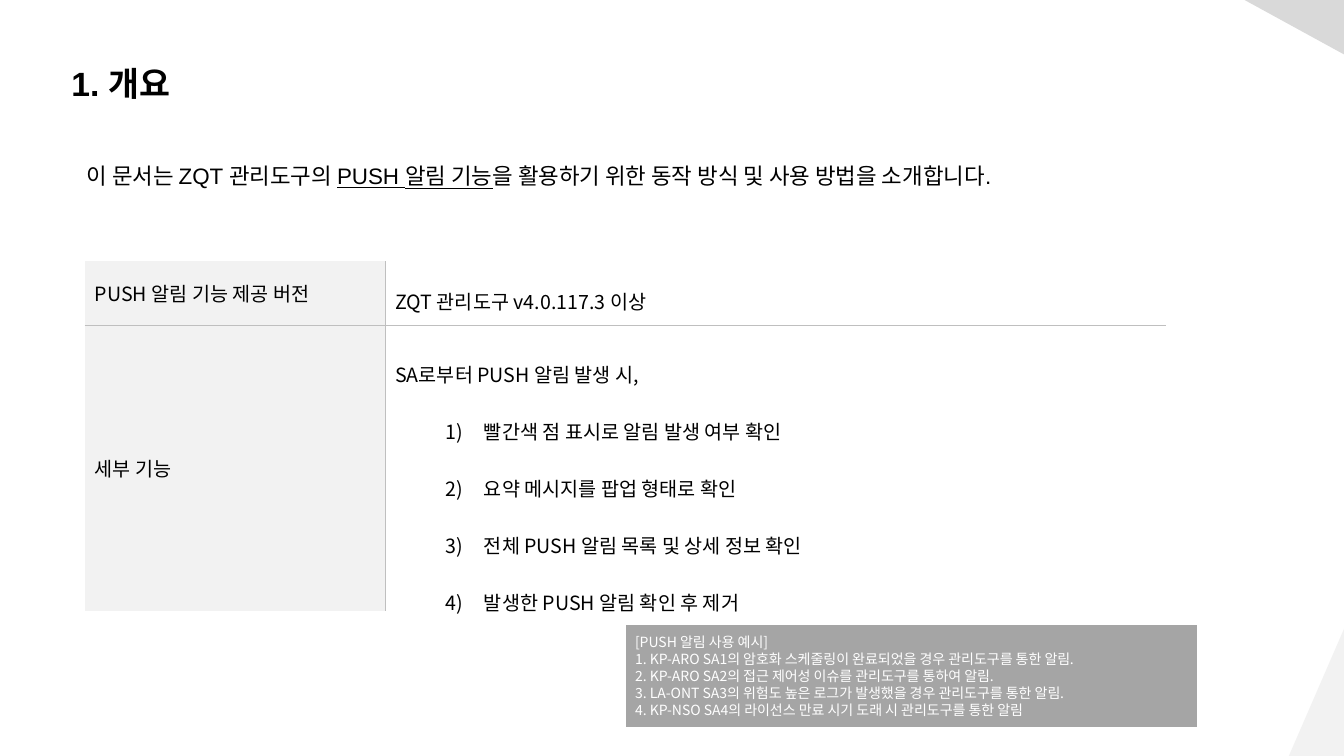
from lxml.etree import SubElement
from pptx import Presentation
from pptx.dml.color import RGBColor
from pptx.enum.shapes import MSO_SHAPE
from pptx.enum.text import MSO_ANCHOR, PP_ALIGN
from pptx.oxml.ns import qn
from pptx.util import Inches, Pt

BLACK = RGBColor(0, 0, 0)
WHITE = RGBColor(255, 255, 255)
PALE = RGBColor(0xF2, 0xF2, 0xF2)
LIGHT = RGBColor(0xD9, 0xD9, 0xD9)
GRAY = RGBColor(0xA5, 0xA5, 0xA5)
RULE = "BFBFBF"
SANS = "Noto Sans CJK KR"

deck = Presentation()
deck.slide_width, deck.slide_height = Inches(13.33), Inches(7.5)
slide = deck.slides.add_slide(deck.slide_layouts[6])
shapes = slide.shapes


def grid(*cells):
    """Lengths counted in grid cells of a tenth of an inch."""
    return [Inches(n / 10) for n in cells]


def write(frame, lines, size, face=SANS, color=BLACK, gap=None):
    """Fill a frame with one paragraph per line; a line is a list of runs."""
    frame.word_wrap = True
    for i, line in enumerate(lines):
        para = frame.paragraphs[0] if i == 0 else frame.add_paragraph()
        for part in line:
            para.add_run().text = part
        para.alignment = PP_ALIGN.LEFT
        para.line_spacing = gap
        font = para.font
        font.size, font.name = Pt(size), face
        font.color.rgb = color
        SubElement(font._element, qn("a:ea"), typeface=SANS)
    return frame.paragraphs


# Corner triangles
wide, high = deck.slide_width, deck.slide_height
for color, points in (
    (PALE, [(0.959, 1), (1, 1), (1, 0.832)]),
    (LIGHT, [(0.926, 0), (1, 0), (1, 0.072)]),
):
    spots = [(int(x * wide), int(y * high)) for x, y in points]
    path = shapes.build_freeform(*spots[0])
    path.add_line_segments(spots[1:], close=True)
    corner = path.convert_to_shape()
    corner.shadow.inherit = False
    corner.fill.solid()
    corner.fill.fore_color.rgb = color
    corner.line.fill.background()

# Title
title = shapes.add_textbox(*grid(6.1, 5.8, 34, 5))
write(title.text_frame, [["1. 개요"]], 24, "Arial")[0].font.bold = True

# Introduction
intro = shapes.add_textbox(*grid(7.6, 14.3, 102.3, 5))
lead = ["이 문서는 ZQT 관리도구의 ", "PUSH 알림 기능",
        "을 활용하기 위한 동작 방식 및 사용 방법을 소개합니다."]
para = write(intro.text_frame, [lead], 16, "Arial", gap=1.5)[0]
para.runs[1].font.underline = True

# Table
cols, rows = grid(29.8, 77.4), grid(6.4, 28.3)
table = shapes.add_table(2, 2, *grid(8.4, 25.9), sum(cols), sum(rows)).table
table.first_row = table.horz_banding = False
for i in range(2):
    table.columns[i].width = cols[i]
    table.rows[i].height = rows[i]

steps = ["빨간색 점 표시로 알림 발생 여부 확인", "요약 메시지를 팝업 형태로 확인",
         "전체 PUSH 알림 목록 및 상세 정보 확인", "발생한 PUSH 알림 확인 후 제거"]
body = [
    [(["PUSH 알림 기능 제공 버전"], None), (["ZQT 관리도구 v4.0.117.3 이상"], 1.5)],
    [(["세부 기능"], None), (["SA로부터 PUSH 알림 발생 시,"] + steps, 2)],
]
for r, row in enumerate(body):
    for c, (lines, gap) in enumerate(row):
        cell = table.cell(r, c)
        cell.vertical_anchor = MSO_ANCHOR.MIDDLE
        paras = write(cell.text_frame, [[line] for line in lines], 14, gap=gap)
        # Numbered steps
        for para in paras[1:]:
            para.level = 1
            prop = para._p.get_or_add_pPr()
            prop.set("marL", str(Inches(0.88)))
            prop.set("indent", str(Inches(-0.38)))
            mark = SubElement(prop, qn("a:buAutoNum"), type="arabicParenR")
            prop.find(qn("a:defRPr")).addprevious(mark)
        # Inner borders only
        prop = cell._tc.get_or_add_tcPr()
        inner = {"lnL": c == 1, "lnR": c == 0, "lnT": r == 1, "lnB": r == 0}
        for side, shown in inner.items():
            edge = SubElement(prop, qn("a:" + side), w=str(Pt(1)))
            if shown:
                fill = SubElement(edge, qn("a:solidFill"))
                SubElement(fill, qn("a:srgbClr"), val=RULE)
            else:
                SubElement(edge, qn("a:noFill"))
        if c == 0:
            cell.fill.solid()
            cell.fill.fore_color.rgb = PALE
        else:
            cell.fill.background()

# Example box
box = shapes.add_shape(MSO_SHAPE.RECTANGLE, *grid(62, 61.9, 56.8, 10.3))
box.shadow.inherit = False
box.fill.solid()
box.fill.fore_color.rgb = GRAY
box.line.color.rgb = WHITE
box.line.width = Pt(1.5)
box.text_frame.vertical_anchor = MSO_ANCHOR.MIDDLE
notes = [
    "[PUSH 알림 사용 예시]",
    "1. KP-ARO SA1의 암호화 스케줄링이 완료되었을 경우 관리도구를 통한 알림.",
    "2. KP-ARO SA2의 접근 제어성 이슈를 관리도구를 통하여 알림.",
    "3. LA-ONT SA3의 위험도 높은 로그가 발생했을 경우 관리도구를 통한 알림.",
    "4. KP-NSO SA4의 라이선스 만료 시기 도래 시 관리도구를 통한 알림",
]
write(box.text_frame, [[note] for note in notes], 10, color=WHITE)

deck.save("out.pptx")
